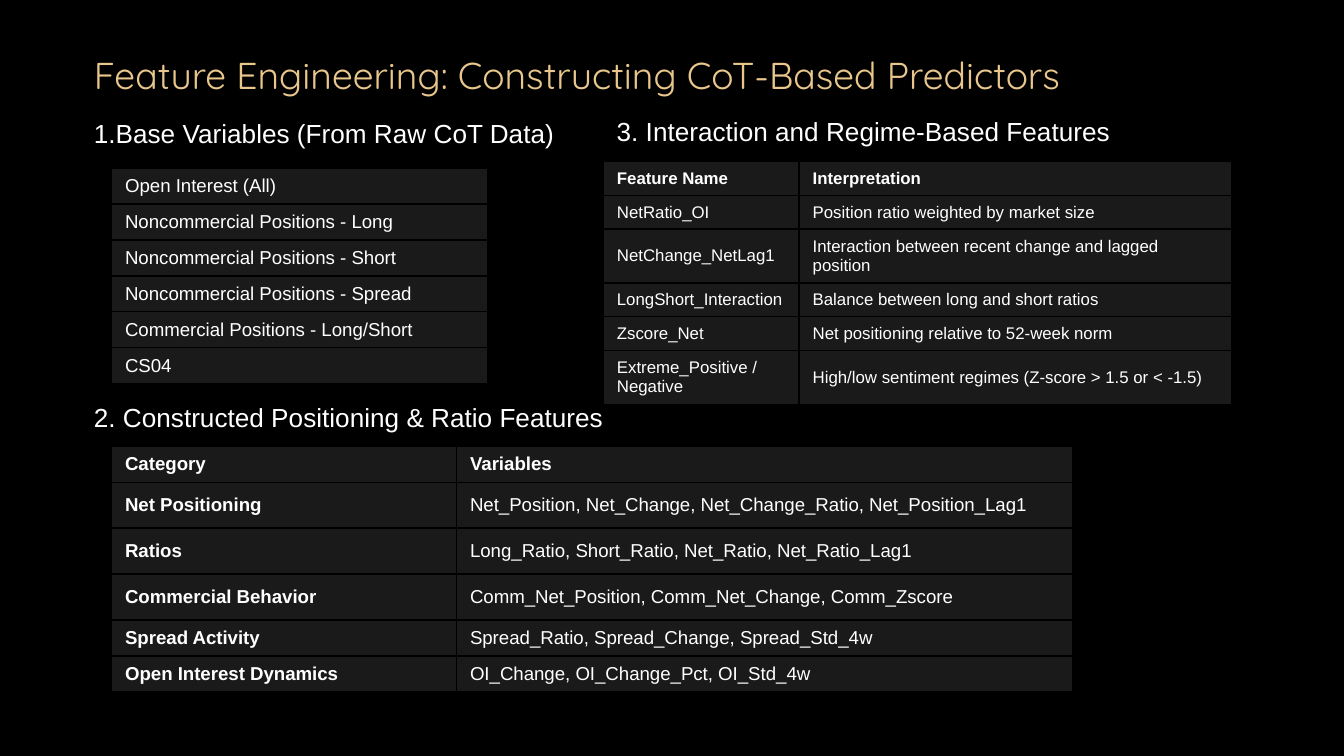
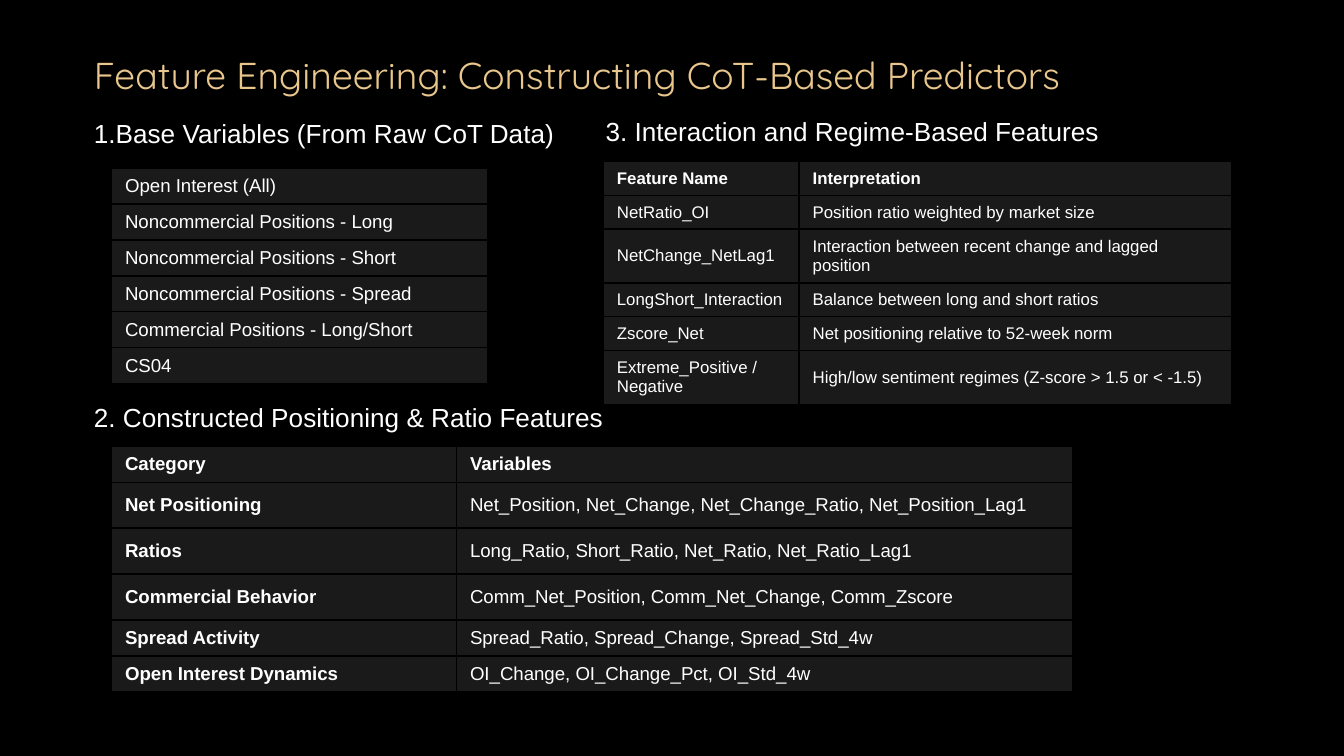
from dataclasses import dataclass

from lxml.etree import SubElement
from pptx import Presentation
from pptx.dml.color import RGBColor
from pptx.enum.text import MSO_ANCHOR
from pptx.oxml.ns import qn
from pptx.util import Pt


@dataclass(frozen=True)
class Theme:
    background: str = "000000"
    gold: str = "E9C78C"
    white: str = "FFFFFF"
    cell_alpha: int = 10
    border: float = 1
    title_font: str = "Quicksand"
    body_font: str = "Arial"
    title_size: float = 20
    heading_size: float = 14
    table_size: float = 10
    small_table_size: float = 9
    inset: float = 7.2


THEME = Theme()
LEFT, TABLE_LEFT, FEATURES_LEFT = 43.2, 59.8, 323.3
LINE_ROW, TALL_ROW = 18.3, 24.6
SMALL_ROW, SMALL_TWO_LINE_ROW = 17.3, 26.9

BASE_VARIABLES = [
    ["Open Interest (All)"],
    ["Noncommercial Positions - Long"],
    ["Noncommercial Positions - Short"],
    ["Noncommercial Positions - Spread"],
    ["Commercial Positions - Long/Short"],
    ["CS04"],
]
RATIO_FEATURES = [
    ["Category", "Variables"],
    ["Net Positioning", "Net_Position, Net_Change, Net_Change_Ratio, Net_Position_Lag1"],
    ["Ratios", "Long_Ratio, Short_Ratio, Net_Ratio, Net_Ratio_Lag1"],
    ["Commercial Behavior", "Comm_Net_Position, Comm_Net_Change, Comm_Zscore"],
    ["Spread Activity", "Spread_Ratio, Spread_Change, Spread_Std_4w"],
    ["Open Interest Dynamics", "OI_Change, OI_Change_Pct, OI_Std_4w"],
]
REGIME_FEATURES = [
    ["Feature Name", "Interpretation"],
    ["NetRatio_OI", "Position ratio weighted by market size"],
    ["NetChange_NetLag1", "Interaction between recent change and lagged position"],
    ["LongShort_Interaction", "Balance between long and short ratios"],
    ["Zscore_Net", "Net positioning relative to 52-week norm"],
    ["Extreme_Positive / Negative", "High/low sentiment regimes (Z-score > 1.5 or < -1.5)"],
]


def style_text(tf, font, size, color, bold=False):
    for p in tf.paragraphs:
        for r in p.runs:
            r.font.name = font
            r.font.size = Pt(size)
            r.font.bold = bold
            r.font.color.rgb = RGBColor.from_string(color)


def add_text(s, text, x, y, w, h, font, size, color, top_inset):
    tf = s.shapes.add_textbox(Pt(x), Pt(y), Pt(w), Pt(h)).text_frame
    tf.word_wrap = True
    tf.margin_left = tf.margin_right = tf.margin_bottom = Pt(THEME.inset)
    tf.margin_top = Pt(top_inset)
    tf.text = text
    style_text(tf, font, size, color)


def add_title(s, text):
    add_text(s, text, LEFT, 28.1, 611.3, 41.8,
             THEME.title_font, THEME.title_size, THEME.gold, 0)


def add_heading(s, text, x, y, w):
    add_text(s, text, x, y, w, 31,
             THEME.body_font, THEME.heading_size, THEME.white, THEME.inset)


def style_cell(cell):
    """Give the cell solid borders and a translucent white fill."""
    tcPr = cell._tc.get_or_add_tcPr()
    for side in ("a:lnL", "a:lnR", "a:lnT", "a:lnB"):
        ln = SubElement(tcPr, qn(side), w=str(Pt(THEME.border)))
        SubElement(SubElement(ln, qn("a:solidFill")), qn("a:srgbClr"),
                   val=THEME.background)
    cell.fill.solid()
    cell.fill.fore_color.rgb = RGBColor.from_string(THEME.white)
    fill_color = tcPr.find(qn("a:solidFill")).find(qn("a:srgbClr"))
    SubElement(fill_color, qn("a:alpha"), val=str(THEME.cell_alpha * 1000))


def add_table(s, rows, x, y, col_widths, row_heights, size,
              bold_header=False, bold_first_col=False):
    table = s.shapes.add_table(len(rows), len(col_widths), Pt(x), Pt(y),
                               Pt(sum(col_widths)), Pt(sum(row_heights))).table
    table.first_row = table.horz_banding = False
    for col, width in zip(table.columns, col_widths):
        col.width = Pt(width)
    for i, (values, height) in enumerate(zip(rows, row_heights)):
        table.rows[i].height = Pt(height)
        for j, value in enumerate(values):
            cell = table.cell(i, j)
            cell.text_frame.text = value
            cell.vertical_anchor = MSO_ANCHOR.MIDDLE
            bold = (bold_header and i == 0) or (bold_first_col and j == 0)
            style_text(cell.text_frame, THEME.body_font, size, THEME.white, bold)
            style_cell(cell)


def add_feature_slide(prs, regime_heading_x, regime_heading_w, interaction_row):
    s = prs.slides.add_slide(prs.slide_layouts[6])
    s.background.fill.solid()
    s.background.fill.fore_color.rgb = RGBColor.from_string(THEME.background)
    add_title(s, "Feature Engineering: Constructing CoT-Based Predictors")

    add_heading(s, "1.Base Variables (From Raw CoT Data)", LEFT, 55.6, 267.1)
    add_table(s, BASE_VARIABLES, TABLE_LEFT, 90, [201.6],
              [LINE_ROW] * len(BASE_VARIABLES), THEME.table_size)

    add_heading(s, "2. Constructed Positioning & Ratio Features", LEFT, 208.1, 596.2)
    add_table(s, RATIO_FEATURES, TABLE_LEFT, 239.2, [184.8, 330.2],
              [LINE_ROW] + [TALL_ROW] * 3 + [LINE_ROW] * 2, THEME.table_size,
              bold_header=True, bold_first_col=True)

    add_table(s, REGIME_FEATURES, FEATURES_LEFT, 86.6, [104.9, 231.8],
              [SMALL_ROW, SMALL_ROW, interaction_row, SMALL_ROW, SMALL_ROW,
               SMALL_TWO_LINE_ROW], THEME.small_table_size, bold_header=True)
    add_heading(s, "3. Interaction and Regime-Based Features",
                regime_heading_x, 54.7, regime_heading_w)


def main():
    prs = Presentation()
    prs.slide_width, prs.slide_height = Pt(720), Pt(405)
    add_feature_slide(prs, FEATURES_LEFT, 367.9, 28.8)
    add_feature_slide(prs, 317.3, 383, SMALL_TWO_LINE_ROW)
    prs.save("out.pptx")


if __name__ == "__main__":
    main()
